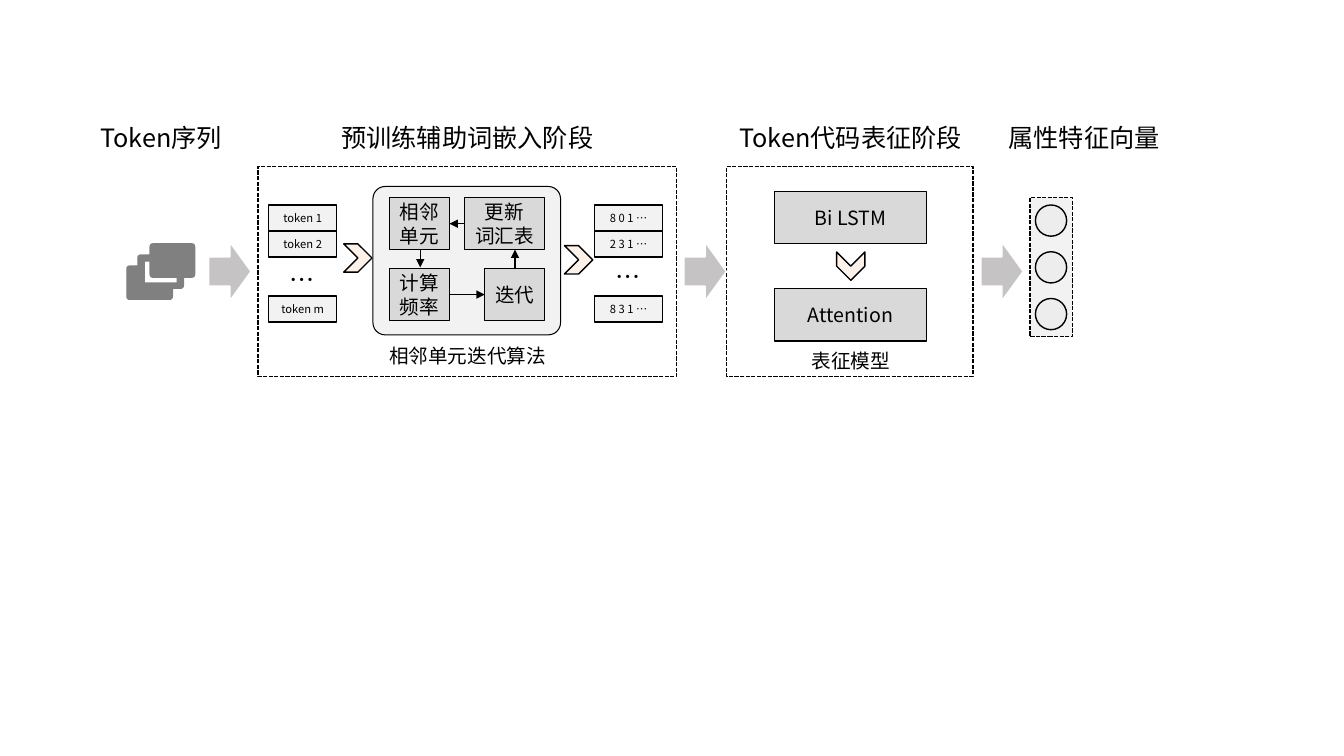
from lxml.etree import SubElement
from pptx import Presentation
from pptx.dml.color import RGBColor
from pptx.enum.dml import MSO_LINE_DASH_STYLE as Dash
from pptx.enum.shapes import MSO_CONNECTOR as Connector, MSO_SHAPE as Shape
from pptx.enum.text import MSO_ANCHOR as Anchor, PP_ALIGN as Align
from pptx.oxml.ns import qn
from pptx.util import Pt

BLACK, WHITE = "000000", "FFFFFF"
PALE, GREY, CREAM = "F2F2F2", "D9D9D9", "FDF2EA"


def color(value):
    return RGBColor.from_string(value)


def write(shape, text, size=14, align=Align.CENTER, anchor=Anchor.MIDDLE,
          inset=(6, 0), font="Noto Sans CJK SC"):
    """Fill a shape with text, one paragraph per line."""
    frame = shape.text_frame
    frame.word_wrap = True
    frame.vertical_anchor = anchor
    frame.margin_left = frame.margin_right = Pt(inset[0])
    frame.margin_top = frame.margin_bottom = Pt(inset[1])
    for index, line in enumerate(text.split("\n")):
        para = frame.add_paragraph() if index else frame.paragraphs[0]
        para.alignment = align
        span = para.add_run()
        span.text = line
        span.font.size = Pt(size)
        span.font.name = font
        span.font.color.rgb = color(BLACK)
        east_asian = SubElement(span.font._element, qn("a:ea"))
        east_asian.set("typeface", font)


def rounded(corners, radius=2.2, steps=4):
    """Outline through (x, y, is_round) corners, with round ones curved."""
    outline = []
    for index, (x, y, is_round) in enumerate(corners):
        if not is_round:
            outline.append((x, y))
            continue
        ends = []
        for near_x, near_y, _ in (corners[index - 1], corners[(index + 1) % len(corners)]):
            reach = radius / (abs(near_x - x) + abs(near_y - y))
            ends.append((x + (near_x - x) * reach, y + (near_y - y) * reach))
        for step in range(steps + 1):
            t = step / steps
            outline.append(tuple(
                (1 - t) ** 2 * start + 2 * t * (1 - t) * middle + t ** 2 * end
                for start, middle, end in zip(ends[0], (x, y), ends[1])))
    return [(Pt(x), Pt(y)) for x, y in outline]


class Diagram:
    def __init__(self, slide):
        self.slide = slide
        self.shapes = slide.shapes

    def start_group(self):
        self.shapes = self.slide.shapes.add_group_shape().shapes

    def end_group(self):
        self.shapes = self.slide.shapes

    def paint(self, shape, fill, line, width):
        shape.shadow.inherit = False
        if fill:
            shape.fill.solid()
            shape.fill.fore_color.rgb = color(fill)
        else:
            shape.fill.background()
        shape.line.color.rgb = color(line)
        shape.line.width = Pt(width)

    def shape(self, kind, x, y, width, height, fill=None, line=BLACK,
              weight=1, dashed=False, turn=0):
        shape = self.shapes.add_shape(kind, Pt(x), Pt(y), Pt(width), Pt(height))
        self.paint(shape, fill, line, weight)
        shape.rotation = turn
        if dashed:
            shape.line.dash_style = Dash.SQUARE_DOT
        return shape

    def box(self, text, x, y, width, height, fill=GREY, weight=0.75, **style):
        box = self.shape(Shape.FLOWCHART_PROCESS, x, y, width, height, fill, weight=weight)
        write(box, text, **style)

    def label(self, text, x, y, width, height, **style):
        label = self.shapes.add_textbox(Pt(x), Pt(y), Pt(width), Pt(height))
        write(label, text, anchor=Anchor.TOP, inset=(7.2, 3.6), **style)

    def arrow(self, x1, y1, x2, y2):
        arrow = self.shapes.add_connector(Connector.STRAIGHT, Pt(x1), Pt(y1), Pt(x2), Pt(y2))
        arrow.line.color.rgb = color(BLACK)
        arrow.line.width = Pt(1)
        SubElement(arrow.line._get_or_add_ln(), qn("a:tailEnd")).set("type", "triangle")
        SubElement(arrow._element.spPr, qn("a:effectLst"))

    def outline(self, contours, fill):
        builder = None
        for corners in contours:
            start, *others = rounded(corners)
            if builder is None:
                builder = self.shapes.build_freeform(*start)
            else:
                builder.move_to(*start)
            builder.add_line_segments(others, close=True)
        self.paint(builder.convert_to_shape(), fill, fill, 1)

    def column(self, x, rows, dots_y):
        """Three small cells with an ellipsis before the last one."""
        for text, y in zip(rows, (146.4, 165, 211.5)):
            self.box(text, x, y, 48.5, 18.6, PALE, 1, size=8)
        self.label("…", x + 8, dots_y, 31.7, 28.8, size=18, align=Align.LEFT)


def main():
    deck = Presentation()
    deck.slide_width, deck.slide_height = Pt(960), Pt(540)
    diagram = Diagram(deck.slides.add_slide(deck.slide_layouts[6]))

    # Stage frames and headings
    for x, width in ((184.3, 299), (519, 176)):
        diagram.shape(Shape.RECTANGLE, x, 118.9, width, 150, dashed=True)
    for text, x, width in (("Token序列", 47.5, 135.4), ("预训练辅助词嵌入阶段", 222.5, 222.5),
                           ("Token代码表征阶段", 508.3, 198.7), ("属性特征向量", 709.2, 130.3)):
        diagram.label(text, x, 84.2, width, 28.8, size=18)

    # Token sequence icon
    diagram.outline([
        [(139, 174.2, True), (107.3, 174.2, True), (107.3, 182.2, False),
         (98.6, 182.2, True), (98.6, 190.1, False), (90.7, 190.1, True),
         (90.7, 213.8, True), (123.1, 213.8, True), (123.1, 205.9, False),
         (131, 205.9, True), (131, 198, False), (139, 198, True)],
        [(126.7, 202.3, False), (103, 202.3, False), (103, 186.5, False),
         (107.3, 186.5, False), (107.3, 198, True), (126.7, 198, False)],
    ], "808080")

    # Arrows between stages
    for x in (143.3, 482.8, 694.8):
        diagram.shape(Shape.DOWN_ARROW, x, 178.8, 41.8, 30.2, "C5C3C3", WHITE, turn=270)

    # Token and number columns
    diagram.column(192, ("token 1", "token 2", "token m"), 185)
    diagram.column(424.8, ("8 0 1 …", "2 3 1 …", "8 3 1 …"), 182.9)
    for x, y, turn in ((245.5, 174.2, 0), (403.2, 175.5, 0), (597.6, 180, 90)):
        diagram.shape(Shape.CHEVRON, x, y, 20.2, 20.2, CREAM, turn=turn)

    # Iteration algorithm
    diagram.start_group()
    panel = diagram.shape(Shape.ROUNDED_RECTANGLE, 266.4, 133.2, 134, 106, PALE, weight=0.75)
    panel.adjustments[0] = 0.082
    for text, x, y, width in (("相邻单元", 278.3, 141.1, 42.8), ("更新\n词汇表", 331.9, 141.1, 57),
                              ("计算\n频率", 278.3, 191.9, 42.8), ("迭代", 346.3, 191.9, 42.8)):
        diagram.box(text, x, y, width, 37)
    for ends in ((300.2, 178.3, 300.2, 191), (321.1, 210.4, 346.3, 210.4),
                 (367.9, 191.9, 367.9, 178.3), (331.9, 159.8, 321.1, 159.8)):
        diagram.arrow(*ends)
    diagram.end_group()
    diagram.label("相邻单元迭代算法", 254.9, 241.9, 158.4, 24.5)

    # Representation model
    for text, y in (("Bi LSTM", 136.8), ("Attention", 206.2)):
        diagram.box(text, 553.4, y, 108.2, 37.4)
    diagram.label("表征模型", 528.5, 245.5, 158.4, 24.5)

    # Attribute feature vector
    diagram.shape(Shape.RECTANGLE, 735.8, 141.1, 30.2, 99.4, PALE, dashed=True)
    diagram.start_group()
    for row in range(3):
        diagram.shape(Shape.OVAL, 739.6, 146.4 + 33.4 * row, 22.3, 22.3, "EDEDED")
    diagram.end_group()

    deck.save("out.pptx")


if __name__ == "__main__":
    main()
